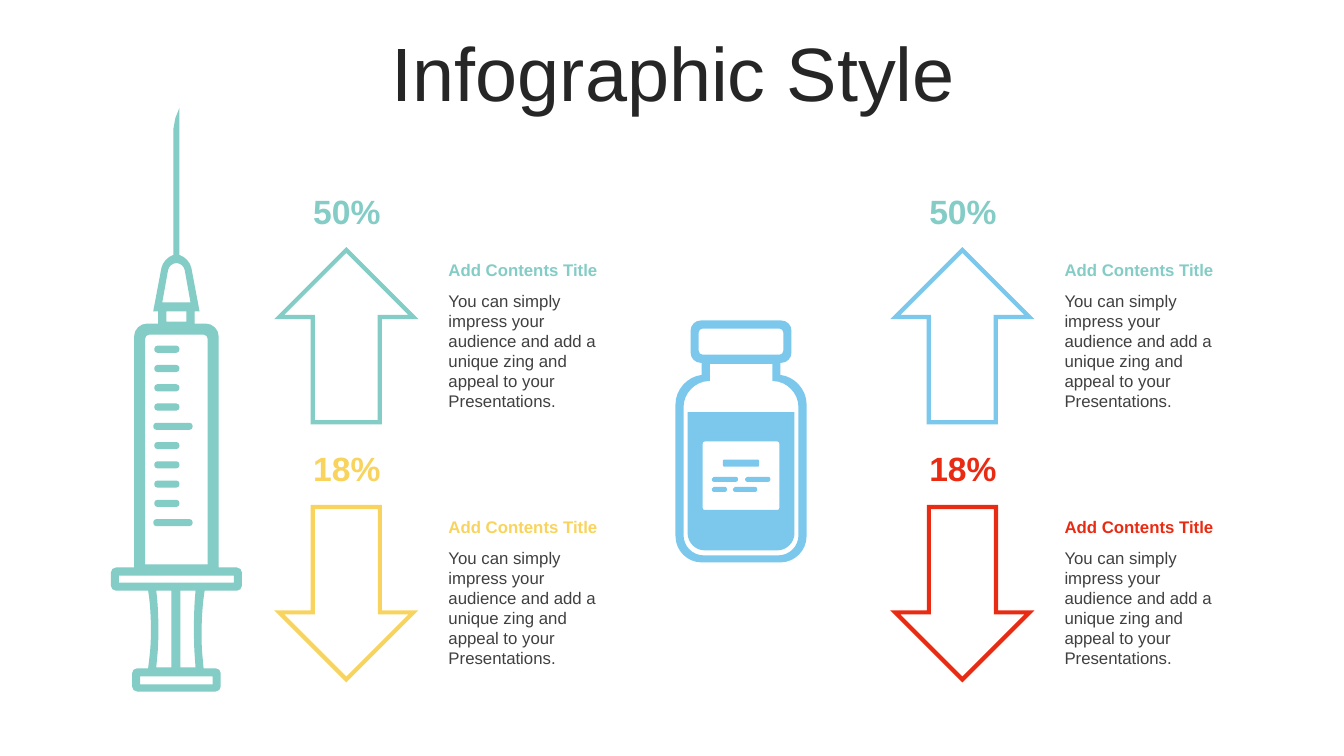
from math import dist

from lxml import etree
from pptx import Presentation
from pptx.dml import color
from pptx.enum import shapes, text
from pptx.oxml import ns
from pptx.util import Inches, Pt

COLORS = {"teal": "84CCC6", "yellow": "F8D45E", "blue": "7CC8EC",
          "red": "EA2B13", "title": "262626", "body": "404040"}
RGB = {name: color.RGBColor.from_string(value) for name, value in COLORS.items()}
BODY = ("You can simply impress your audience and add a unique zing "
        "and appeal to your Presentations.")

deck = Presentation()
deck.slide_width, deck.slide_height = Inches(13.33), Inches(7.5)
page = deck.slides.add_slide(deck.slide_layouts[5])


def frame(left, top, width, height, radius=0):
    right, bottom = left + width, top + height
    return [(left, top, radius), (right, top, radius),
            (right, bottom, radius), (left, bottom, radius)]


def trace(fill, *contours):
    builder, bends, count = None, [], 0
    for contour in contours:
        points = []
        for index, (x, y, *radius) in enumerate(contour):
            if not radius or not radius[0]:
                points.append((Inches(x), Inches(y)))
                continue
            bends.append(count + len(points) + 1)
            before, after = contour[index - 1], contour[(index + 1) % len(contour)]
            for near, share in [(before, 1), (before, 0.45), (after, 0.45), (after, 1)]:
                part = share * radius[0] / dist((x, y), near[:2])
                points.append((Inches(x + (near[0] - x) * part),
                               Inches(y + (near[1] - y) * part)))
        if builder is None:
            builder = page.shapes.build_freeform(*points[0])
        else:
            builder.move_to(*points[0])
        builder.add_line_segments(points[1:], close=True)
        count += len(points)
    shape = builder.convert_to_shape()
    outline = next(shape._element.iter(ns.qn("a:path")))
    steps = [step for step in outline if step.tag != ns.qn("a:close")]
    for bend in bends:
        curve = etree.Element(ns.qn("a:cubicBezTo"))
        steps[bend].addprevious(curve)
        for step in steps[bend:bend + 3]:
            curve.append(step[0])
            outline.remove(step)
    shape.shadow.inherit = False
    shape.fill.solid()
    shape.fill.fore_color.rgb = RGB[fill]
    shape.line.fill.background()


title = page.shapes.title
title.left, title.top, title.width, title.height = map(Inches, (0.35, 0.37, 12.66, 0.79))
title.text_frame.text = "Infographic Style"
title.text_frame.vertical_anchor = text.MSO_ANCHOR.MIDDLE
para = title.text_frame.paragraphs[0]
para.alignment = text.PP_ALIGN.CENTER
para.line_spacing = 0.9
for name, value in {"name": "Arial", "size": Pt(54), "bold": False}.items():
    setattr(para.font, name, value)
para.font.color.rgb = RGB["title"]

syringe = [
    (1.78, 1.07), (1.78, 2.53), (1.88, 2.56, 0.1), (1.98, 3.09), (1.93, 3.09),
    (1.93, 3.21), (2.17, 3.21, 0.13), (2.17, 5.63), (2.4, 5.63, 0.05),
    (2.4, 5.86, 0.05), (2.03, 5.86), (1.98, 6.2, 0.3), (2.02, 6.63),
    (2.19, 6.63, 0.05), (2.19, 6.86, 0.05), (1.31, 6.86, 0.05),
    (1.31, 6.63, 0.05), (1.47, 6.63), (1.52, 6.2, 0.3), (1.47, 5.86),
    (1.1, 5.86, 0.05), (1.1, 5.63, 0.05), (1.33, 5.63), (1.33, 3.21, 0.13),
    (1.57, 3.21), (1.57, 3.09), (1.52, 3.09), (1.62, 2.56, 0.1),
    (1.72, 2.53), (1.72, 1.28), (1.74, 1.17)]
barrel = [(1.44, 3.32, 0.04), (2.06, 3.32, 0.04), (2.06, 5.6), (1.44, 5.6)]
right_gap = [(1.94, 6.62), (1.91, 6.2, 0.3), (1.94, 5.86), (1.79, 5.86), (1.79, 6.62)]
left_gap = [(1.55, 5.86), (1.59, 6.2, 0.3), (1.55, 6.62), (1.7, 6.62), (1.7, 5.86)]
cone = [(1.89, 3), (1.82, 2.61, 0.07), (1.68, 2.61, 0.07), (1.61, 3)]
trace("teal", syringe, barrel, right_gap, left_gap, cone,
      frame(1.18, 5.71, 1.14, 0.07), frame(1.39, 6.71, 0.72, 0.08),
      frame(1.65, 3.09, 0.2, 0.1))
for mark in range(10):
    left, width = (1.52, 0.39) if mark % 5 == 4 else (1.53, 0.25)
    trace("teal", frame(left, 3.43 + mark * 1.72 / 9, width, 0.07, 0.03))

bottle = [
    (6.85, 3.18, 0.1), (7.85, 3.18, 0.1), (7.85, 3.6, 0.1), (7.74, 3.6),
    (7.74, 3.72), (8, 3.75, 0.26), (8, 5.58, 0.26), (6.7, 5.58, 0.26),
    (6.7, 3.75, 0.26), (6.96, 3.72), (6.96, 3.6), (6.85, 3.6, 0.1)]
inside = [
    (7.04, 3.61), (7.66, 3.61), (7.66, 3.78), (7.92, 3.79, 0.25),
    (7.92, 5.51, 0.2), (6.78, 5.51, 0.2), (6.78, 3.79, 0.25), (7.04, 3.78)]
liquid = [(6.82, 4.09), (7.88, 4.09), (7.88, 5.46, 0.17), (6.82, 5.46, 0.17)]
trace("blue", bottle, inside, frame(6.93, 3.26, 0.84, 0.26, 0.04))
trace("blue", liquid, frame(6.97, 4.38, 0.76, 0.68, 0.02))
for bar in [(7.17, 4.56, 0.36, 0.07, 0.01), (7.06, 4.73, 0.26, 0.05, 0.02),
            (7.39, 4.73, 0.25, 0.05, 0.02), (7.27, 4.83, 0.24, 0.05, 0.02),
            (7.06, 4.83, 0.15, 0.05, 0.02)]:
    trace("blue", frame(*bar))

for left, top, percent, turn, outline, accent in [
        (2.77, 1.84, "50%", 0, "teal", "teal"),
        (2.77, 4.39, "18%", 180, "yellow", "yellow"),
        (8.88, 1.84, "50%", 0, "blue", "teal"),
        (8.88, 4.39, "18%", 180, "red", "red")]:
    arrow = page.shapes.add_shape(
        shapes.MSO_SHAPE.UP_ARROW,
        Inches(left), Inches(top + 0.64), Inches(1.33), Inches(1.71))
    arrow.rotation = turn
    arrow.shadow.inherit = False
    arrow.fill.background()
    arrow.line.color.rgb = RGB[outline]
    arrow.line.width = Pt(3)
    etree.SubElement(arrow.line._get_or_add_ln(), ns.qn("a:miter"), lim="800000")

    for words, dx, dy, width, height, size, bold, tint in [
            (BODY, 1.58, 0.99, 1.77, 1.31, 12, False, "body"),
            ("Add Contents Title", 1.58, 0.69, 1.77, 0.3, 12, True, accent),
            (percent, 0.16, 0, 1.02, 0.5, 24, True, accent)]:
        box = page.shapes.add_textbox(
            Inches(left + dx), Inches(top + dy), Inches(width), Inches(height))
        box.text_frame.word_wrap = True
        box.text_frame.auto_size = text.MSO_AUTO_SIZE.SHAPE_TO_FIT_TEXT
        para = box.text_frame.paragraphs[0]
        if words == percent:
            box.text_frame.vertical_anchor = text.MSO_ANCHOR.MIDDLE
            para.alignment = text.PP_ALIGN.CENTER
        span = para.add_run()
        span.text = words
        for name, value in {"name": "Arial", "size": Pt(size), "bold": bold}.items():
            setattr(span.font, name, value)
        span.font.color.rgb = RGB[tint]

deck.save("out.pptx")
